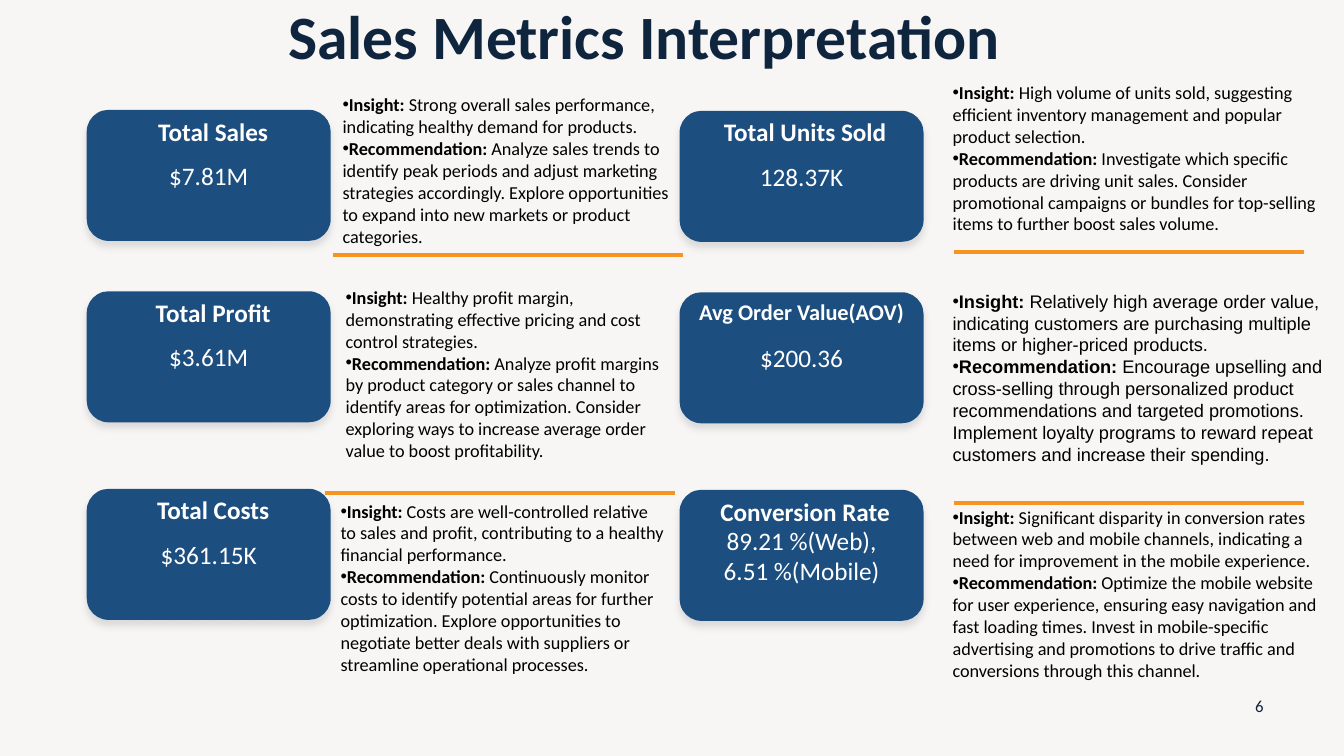
from dataclasses import dataclass
from lxml.etree import SubElement
from pptx import Presentation
from pptx.dml.color import RGBColor
from pptx.enum.shapes import MSO_CONNECTOR, MSO_SHAPE
from pptx.enum.text import MSO_ANCHOR, PP_ALIGN
from pptx.oxml import parse_xml
from pptx.oxml.ns import nsdecls, qn
from pptx.util import Inches, Pt


@dataclass
class Theme:
    font: str = "Calibri"
    back: str = "F8F6F5"
    navy: str = "0F253E"
    card: str = "1C4E80"
    white: str = "FFFFFF"
    black: str = "000000"
    rule: str = "F79320"
    shade: str = "D9D9D9"
    title: int = 44
    metric: int = 18
    small: int = 16
    note: int = 13
    page: int = 12


theme = Theme()


def style(run, size, color, bold=False, font=theme.font):
    run.font.name = font
    run.font.size = Pt(size)
    run.font.bold = bold
    run.font.color.rgb = RGBColor.from_string(color)


def add_text(box, text, size, color, bold=False, anchor=MSO_ANCHOR.MIDDLE):
    """Put centred text on a new text box, given as four inches, or on a shape."""
    if isinstance(box, tuple):
        box = slide.shapes.add_textbox(*map(Inches, box))
    frame = box.text_frame
    frame.word_wrap = True
    frame.vertical_anchor = anchor
    frame.text = text
    for para in frame.paragraphs:
        para.alignment = PP_ALIGN.CENTER
        for run in para.runs:
            style(run, size, color, bold)
    return frame


deck = Presentation()
deck.slide_width, deck.slide_height = Inches(13.33), Inches(7.5)
slide = deck.slides.add_slide(deck.slide_layouts[6])
slide.background.fill.solid()
slide.background.fill.fore_color.rgb = RGBColor.from_string(theme.back)

# Title and page number
head = add_text((0.64, 0, 11.5, 0.79), "Sales Metrics Interpretation",
                theme.title, theme.navy, True)
head.paragraphs[0].line_spacing = 0.9
add_text((12.24, 6.8, 0.5, 0.4), "6", theme.page, theme.navy)

# Metric cards: label, value, left, top, label left, label width, label size
wide, high = 2.42, 1.3
cards = [
    ("Total Sales", "$7.81M", 0.86, 1.09, 1.33, 1.57, theme.metric),
    ("Total Profit", "$3.61M", 0.86, 2.89, 1.33, 1.57, theme.metric),
    ("Total Costs", "$361.15K", 0.86, 4.85, 1.33, 1.57, theme.metric),
    ("Total Units Sold", "128.37K", 6.74, 1.1, 6.94, 2.09, theme.metric),
    ("Avg Order Value(AOV)", "$200.36", 6.74, 2.9, 6.74, 2.42, theme.small),
    ("Conversion Rate", "89.21 %(Web),\n6.51 %(Mobile)", 6.74, 4.86, 6.94, 2.09,
     theme.metric),
]
for label, value, left, top, start, span, size in cards:
    card = slide.shapes.add_shape(MSO_SHAPE.ROUNDED_RECTANGLE, Inches(left),
                                  Inches(top), Inches(wide), Inches(high))
    card.fill.solid()
    card.fill.fore_color.rgb = RGBColor.from_string(theme.card)
    card.line.fill.background()
    # Soft shadow straight below the card
    card._element.spPr.append(parse_xml(
        f'<a:effectLst {nsdecls("a")}><a:outerShdw blurRad="{Pt(5)}" '
        f'dist="{Pt(4)}" dir="5400000" algn="t" rotWithShape="0">'
        f'<a:srgbClr val="{theme.shade}"><a:alpha val="92000"/></a:srgbClr>'
        '</a:outerShdw></a:effectLst>'))
    add_text(card, value, theme.metric, theme.white)
    add_text((start, top + 0.01, span, 0.4), label, size, theme.white, True,
             MSO_ANCHOR.TOP)

# Orange rules: left, top
for left, top in [(9.46, 2.5), (9.46, 4.99), (3.3, 2.53), (3.22, 4.89)]:
    rule = slide.shapes.add_connector(
        MSO_CONNECTOR.STRAIGHT, Inches(left), Inches(top),
        Inches(left + 3.47), Inches(top))
    rule.line.color.rgb = RGBColor.from_string(theme.rule)
    rule.line.width = Pt(3)
    SubElement(rule._element.spPr, qn("a:effectLst"))

# Notes: box, font, insight, recommendation
notes = [
    ((3.3, 0.88, 3.54, 1.63), theme.font,
     "Strong overall sales performance, indicating healthy demand for products.",
     "Analyze sales trends to identify peak periods and adjust marketing "
     "strategies accordingly. Explore opportunities to expand into new markets "
     "or product categories."),
    ((3.33, 2.79, 3.43, 1.85), theme.font,
     "Healthy profit margin, demonstrating effective pricing and cost control "
     "strategies.",
     "Analyze profit margins by product category or sales channel to identify "
     "areas for optimization. Consider exploring ways to increase average order "
     "value to boost profitability."),
    ((3.28, 4.91, 3.43, 2.07), theme.font,
     "Costs are well-controlled relative to sales and profit, contributing to a "
     "healthy financial performance.",
     "Continuously monitor costs to identify potential areas for further "
     "optimization. Explore opportunities to negotiate better deals with "
     "suppliers or streamline operational processes."),
    ((9.35, 0.76, 3.82, 1.63), theme.font,
     "High volume of units sold, suggesting efficient inventory management and "
     "popular product selection.",
     "Investigate which specific products are driving unit sales. Consider "
     "promotional campaigns or bundles for top-selling items to further boost "
     "sales volume."),
    ((9.35, 2.71, 3.87, 2.07), "Arial",
     "Relatively high average order value, indicating customers are purchasing "
     "multiple items or higher-priced products.",
     "Encourage upselling and cross-selling through personalized product "
     "recommendations and targeted promotions. Implement loyalty programs to "
     "reward repeat customers and increase their spending."),
    ((9.35, 4.97, 3.87, 2.07), theme.font,
     "Significant disparity in conversion rates between web and mobile channels, "
     "indicating a need for improvement in the mobile experience.",
     "Optimize the mobile website for user experience, ensuring easy navigation "
     "and fast loading times. Invest in mobile-specific advertising and "
     "promotions to drive traffic and conversions through this channel."),
]
for box, font, insight, advice in notes:
    frame = slide.shapes.add_textbox(*map(Inches, box)).text_frame
    frame.word_wrap = True
    if font != theme.font:
        frame.vertical_anchor = MSO_ANCHOR.MIDDLE
    pairs = [("Insight:", insight), ("Recommendation:", advice)]
    frame.text = "\n".join(lead for lead, body in pairs)
    for para, (lead, body) in zip(frame.paragraphs, pairs):
        para.add_run().text = " " + body
        for run, bold in zip(para.runs, (True, False)):
            style(run, theme.note, theme.black, bold, font)
        props = para._p.get_or_add_pPr()
        SubElement(props, qn("a:buFont"), typeface="Arial")
        SubElement(props, qn("a:buChar"), char="•")

deck.save("out.pptx")
